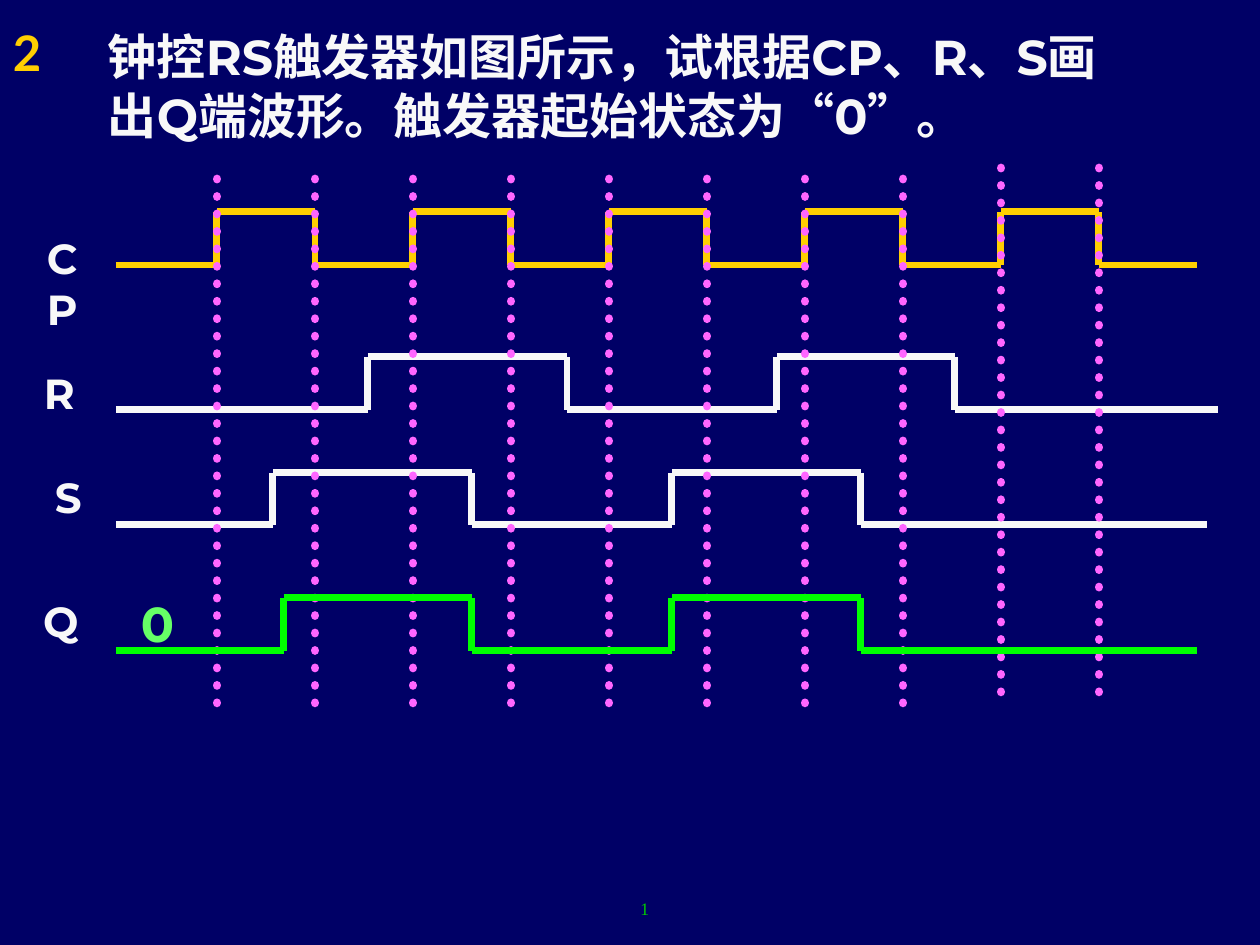
from dataclasses import dataclass
from lxml import etree
from pptx import Presentation
from pptx.dml.color import RGBColor
from pptx.enum.dml import MSO_LINE
from pptx.enum.shapes import MSO_CONNECTOR
from pptx.enum.text import MSO_ANCHOR, PP_ALIGN
from pptx.oxml.ns import qn
from pptx.util import Pt

STRAIGHT = MSO_CONNECTOR.STRAIGHT
ROUND_DOT = MSO_LINE.ROUND_DOT
LEFT, RIGHT = PP_ALIGN.LEFT, PP_ALIGN.RIGHT
TOP, BOTTOM = MSO_ANCHOR.TOP, MSO_ANCHOR.BOTTOM
EMU_PER_PX = 914400 / 126
TITLE_ONLY = 5


@dataclass(frozen=True)
class Theme:
    background: str = "000066"
    text: str = "F8F8F8"
    clock: str = "FFCF01"
    output: str = "00FF00"
    start_state: str = "66FF66"
    guide: str = "FF66FF"
    page: str = "00CC00"
    heading_size: int = 28
    label_size: int = 24
    page_size: int = 10
    wave_width: int = 4
    guide_width: int = 5
    number_font: str = "Lato"
    body_font: str = "Montserrat"
    page_font: str = "Times New Roman"


THEME = Theme()
CLOCK_START, HALF_PERIOD = 217, 98
CLOCK_EDGES = [CLOCK_START + HALF_PERIOD * i for i in range(10)]

# label, label box, wave box, x of each level change, colour
INPUTS = [
    ("CP", (47, 233, 53, 50), (116, 212, 1081, 53), CLOCK_EDGES, THEME.clock),
    ("R", (44, 368, 28, 50), (116, 357, 1102, 53), [368, 567, 777, 955], THEME.text),
    ("S", (55, 472, 23, 50), (116, 473, 1091, 52), [273, 472, 672, 861], THEME.text),
]
OUTPUT = ("Q", (43, 596, 34, 50), (116, 598, 1081, 53), [284, 472, 672, 861], THEME.output)


def px(*lengths):
    return [round(length * EMU_PER_PX) for length in lengths]


def write(frame, text, size, color, font=THEME.body_font, bold=True,
          align=LEFT, anchor=TOP, inset=(13, 6)):
    side, end = px(*inset)
    frame_format = {"word_wrap": True, "vertical_anchor": anchor,
                    "margin_left": side, "margin_right": side,
                    "margin_top": end, "margin_bottom": end}
    for name, value in frame_format.items():
        setattr(frame, name, value)
    frame.text = text
    paragraph = frame.paragraphs[0]
    paragraph.alignment = align
    run_font = paragraph.runs[0].font
    for name, value in {"name": font, "size": Pt(size), "bold": bold}.items():
        setattr(run_font, name, value)
    run_font.color.rgb = RGBColor.from_string(color)


def add_text(slide, box, *args, **formats):
    write(slide.shapes.add_textbox(*px(*box)).text_frame, *args, **formats)


def add_line(slide, start, end, color, width):
    connector = slide.shapes.add_connector(STRAIGHT, *px(*start, *end))
    connector.line.color.rgb = RGBColor.from_string(color)
    connector.line.width = Pt(width)
    etree.SubElement(connector._element.spPr, qn("a:effectLst"))
    return connector


def add_heading(slide, number_box, question_box):
    title = slide.shapes.title
    title.left, title.top, title.width, title.height = px(*number_box)
    write(title.text_frame, "2", THEME.heading_size, THEME.clock,
          font=THEME.number_font, anchor=BOTTOM)
    add_text(slide, question_box,
             "钟控RS触发器如图所示，试根据CP、R、S画出Q端波形。触发器起始状态为“0”。",
             THEME.heading_size, THEME.text)


def add_signal(slide, label, label_box, wave_box, edges, color):
    """Draw a labelled wave that starts low and changes level at each edge."""
    add_text(slide, label_box, label, THEME.label_size, THEME.text, inset=(0, 0))
    left, high, width, height = wave_box
    low = high + height
    stops = [left, *edges, left + width]
    for i, (start, end) in enumerate(zip(stops, stops[1:])):
        level = high if i % 2 else low
        add_line(slide, (start, level), (end, level), color, THEME.wave_width)
    for edge in edges:
        add_line(slide, (edge, high), (edge, low), color, THEME.wave_width)


def add_guides(slide, top, height):
    """Mark the clock edges; the last two guides sit a little higher."""
    for i, edge in enumerate(CLOCK_EDGES):
        start = top if i < 8 else top - 11
        guide = add_line(slide, (edge, start), (edge, start + height),
                         THEME.guide, THEME.guide_width)
        guide.line.dash_style = ROUND_DOT
        guide.line._get_or_add_ln().set("cap", "rnd")


def main():
    prs = Presentation()
    prs.slide_width, prs.slide_height = px(1260, 945)
    slide = prs.slides.add_slide(prs.slide_layouts[TITLE_ONLY])
    fill = slide.background.fill
    fill.solid()
    fill.fore_color.rgb = RGBColor.from_string(THEME.background)

    add_heading(slide, (0, 0, 73, 87), (95, 21, 1029, 131))
    for signal in INPUTS:
        add_signal(slide, *signal)
    add_guides(slide, 179, 535)
    add_signal(slide, *OUTPUT)
    add_text(slide, (128, 588, 54, 72), "0", THEME.heading_size, THEME.start_state)
    add_text(slide, (567, 892, 95, 32), "1", THEME.page_size, THEME.page,
             font=THEME.page_font, bold=False, align=RIGHT)
    prs.save("out.pptx")


if __name__ == "__main__":
    main()
